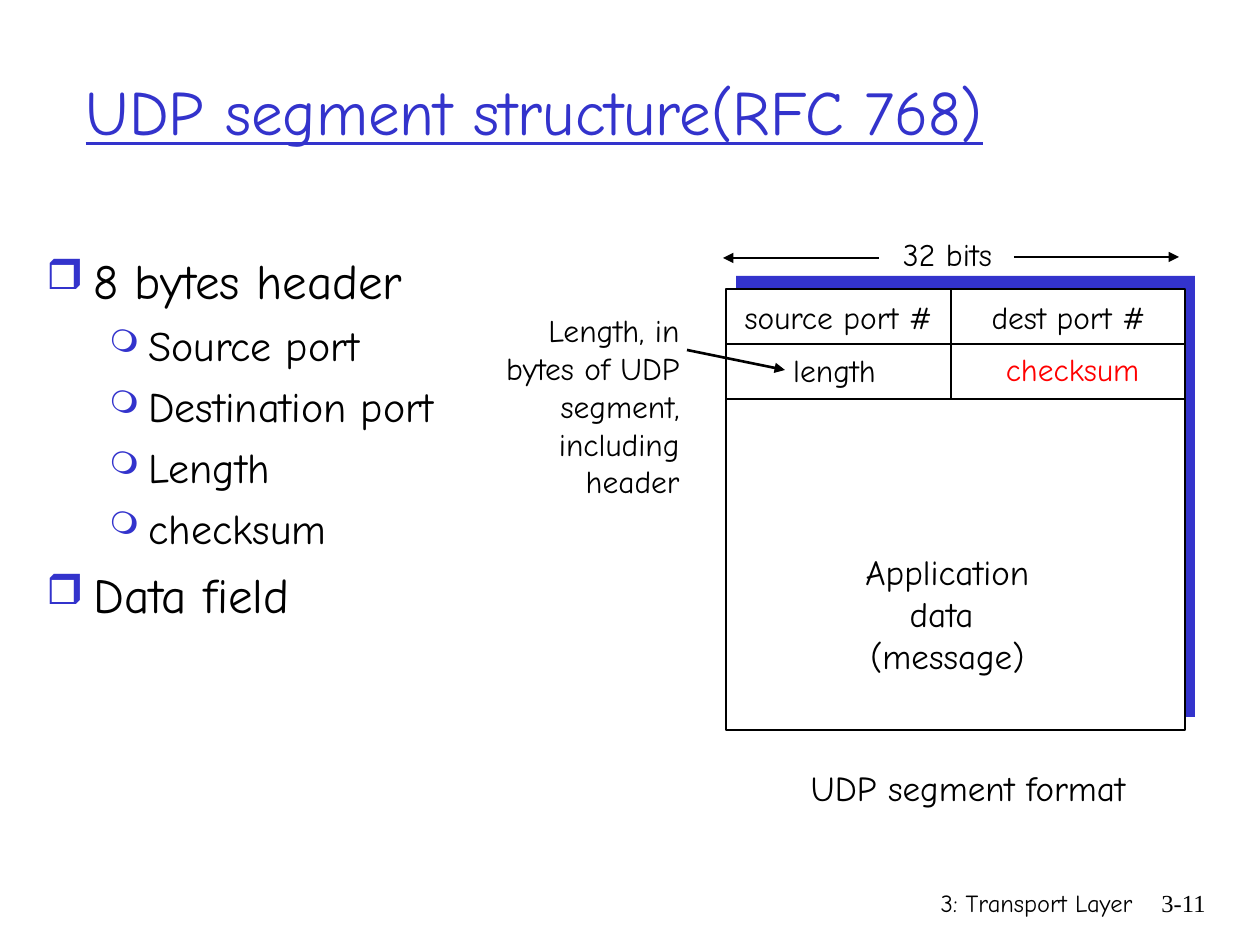
import pptx
import pptx.util
import pptx.dml.color
import pptx.enum.shapes
import pptx.enum.text
import pptx.oxml
import pptx.oxml.ns

# Content
TITLE = "UDP segment structure(RFC 768)"
OUTLINE = [
    (0, "8 bytes header"),
    (1, "Source port"),
    (1, "Destination port"),
    (1, "Length"),
    (1, "checksum"),
    (0, "Data field"),
]
COLORS = {"blue": "3333CC", "black": "000000", "white": "FFFFFF", "red": "FF0000"}
BODY_FONT, NUMBER_FONT = "Comic Neue", "Times New Roman"
LEVELS = [
    {"size": 28, "before": 7, "bullet": "❒", "scale": 85, "left": 47, "hang": 47},
    {"size": 24, "before": 6, "bullet": "❍", "scale": 75, "left": 102, "hang": 39},
]

# Geometry in px
EMU_PER_PX = 914400 / 126
FRAME_LEFT, FRAME_TOP, FRAME_WIDTH, FRAME_HEIGHT = 726, 289, 459, 441
FRAME_RIGHT = FRAME_LEFT + FRAME_WIDTH
ROW_HEIGHT, DIVIDER_X, ARROW_Y = 55, 951, 258
SHADE_DX, SHADE_DY = 10, -13

# Labels: lines, (left, top, width, height), format values
LABELS = [
    (["source port #"], (732, 292, 213, 50), {}),
    (["dest port #"], (979, 292, 179, 50), {}),
    (["length"], (779, 345, 111, 50), {}),
    (["checksum"], (993, 344, 159, 50), {"color": "red"}),
    (["32 bits"], (889, 229, 117, 50), {}),
    (["Application", "data ", "(message)"], (853, 544, 189, 139), {"size": 20}),
    (["UDP segment format"], (798, 760, 340, 55), {"size": 20}),
    (["Length, in", "bytes of UDP", "segment,", "including", "header"],
     (493, 305, 199, 202), {"align": "RIGHT"}),
    (["3: Transport Layer"], (746, 882, 399, 63),
     {"size": 14, "align": "RIGHT", "wrap": True}),
    (["3-11"], (1125, 882, 93, 63),
     {"size": 14, "align": "RIGHT", "wrap": True, "font": NUMBER_FONT}),
]
ARROWS = [
    ((1014, ARROW_Y - 1), (1179, ARROW_Y - 1)),
    ((879, ARROW_Y), (723, ARROW_Y)),
    ((687, 350), (785, 370)),
]


def px(value):
    return pptx.util.Emu(round(value * EMU_PER_PX))


def color(name):
    return pptx.dml.color.RGBColor.from_string(COLORS[name])


def apply(target, values):
    for name, value in values.items():
        setattr(target, name, value)


def place(shape, area):
    apply(shape, dict(zip(("left", "top", "width", "height"), map(px, area))))


def add_element(parent, tag, **attributes):
    element = pptx.oxml.parse_xml(f"<a:{tag} {pptx.oxml.ns.nsdecls('a')}/>")
    for name, value in attributes.items():
        element.set(name, str(value))
    parent.append(element)
    return element


def style_font(font, size, name=BODY_FONT, hue="black", **values):
    apply(font, {"size": pptx.util.Pt(size), "name": name, **values})
    font.color.rgb = color(hue)


def add_box(area, wrap):
    box = page.shapes.add_textbox(*map(px, area))
    fit = pptx.enum.text.MSO_AUTO_SIZE
    apply(box.text_frame, {
        "word_wrap": wrap,
        "auto_size": fit.NONE if wrap else fit.SHAPE_TO_FIT_TEXT,
    })
    return box


def add_label(lines, area, values):
    box = add_box(area, values.get("wrap", False))
    box.text_frame.text = "\n".join(lines)
    for para in box.text_frame.paragraphs:
        para.alignment = pptx.enum.text.PP_ALIGN[values.get("align", "CENTER")]
        for span in para.runs:
            style_font(span.font, values.get("size", 18),
                       values.get("font", BODY_FONT), values.get("color", "black"))


def add_rectangle(area, fill, outline=None):
    shape = page.shapes.add_shape(
        pptx.enum.shapes.MSO_SHAPE.RECTANGLE, *map(px, area))
    shape.shadow.inherit = False
    shape.fill.solid()
    shape.fill.fore_color.rgb = color(fill)
    if outline:
        shape.line.color.rgb = color(outline)
        shape.line.width = pptx.util.Pt(1.5)
    else:
        shape.line.fill.background()


def add_line(start, end, arrow=False):
    line = page.shapes.add_connector(
        pptx.enum.shapes.MSO_CONNECTOR.STRAIGHT, *map(px, start + end))
    line.line.color.rgb = color("black")
    line.line.width = pptx.util.Pt(1.5)
    if arrow:
        add_element(line.line._get_or_add_ln(), "tailEnd", type="triangle")
    add_element(line._element.spPr, "effectLst")


deck = pptx.Presentation()
apply(deck, {"slide_width": px(1260), "slide_height": px(945)})
page = deck.slides.add_slide(deck.slide_layouts[5])

# Title
title = page.shapes.title
place(title, (73, 32, 1149, 157))
title.text_frame.text = TITLE
apply(title.text_frame, {
    "vertical_anchor": pptx.enum.text.MSO_ANCHOR.MIDDLE,
    "auto_size": pptx.enum.text.MSO_AUTO_SIZE.NONE,
    "word_wrap": True,
})
heading = title.text_frame.paragraphs[0]
heading.alignment = pptx.enum.text.PP_ALIGN.LEFT
style_font(heading.runs[0].font, 36, hue="blue", underline=True)

# Bulleted outline
outline = add_box((34, 244, 452, 596), True)
outline.text_frame.text = "\n".join(text for _, text in OUTLINE)
for index, (para, (depth, _)) in enumerate(zip(outline.text_frame.paragraphs, OUTLINE)):
    level = LEVELS[depth]
    para.level = depth
    if index:
        para.space_before = pptx.util.Pt(level["before"])
    properties = para._p.get_or_add_pPr()
    properties.set("marL", str(px(level["left"])))
    properties.set("indent", str(px(-level["hang"])))
    add_element(add_element(properties, "buClr"), "srgbClr", val=COLORS["blue"])
    add_element(properties, "buSzPct", val=level["scale"] * 1000)
    add_element(properties, "buChar", char=level["bullet"])
    style_font(para.runs[0].font, level["size"])

# Segment frame with its offset backing
add_rectangle((FRAME_LEFT + SHADE_DX, FRAME_TOP + SHADE_DY, FRAME_WIDTH, FRAME_HEIGHT),
              "blue")
add_rectangle((FRAME_LEFT, FRAME_TOP, FRAME_WIDTH, FRAME_HEIGHT), "white", "black")

# Header rows: a divider and a bottom rule for each
for row in range(2):
    top = FRAME_TOP + row * ROW_HEIGHT
    bottom = top + ROW_HEIGHT
    add_line((DIVIDER_X, bottom), (DIVIDER_X, top))
    add_line((FRAME_LEFT, bottom), (FRAME_RIGHT, bottom))

# Arrows and labels
for start, end in ARROWS:
    add_line(start, end, arrow=True)
for label in LABELS:
    add_label(*label)

deck.save("out.pptx")
